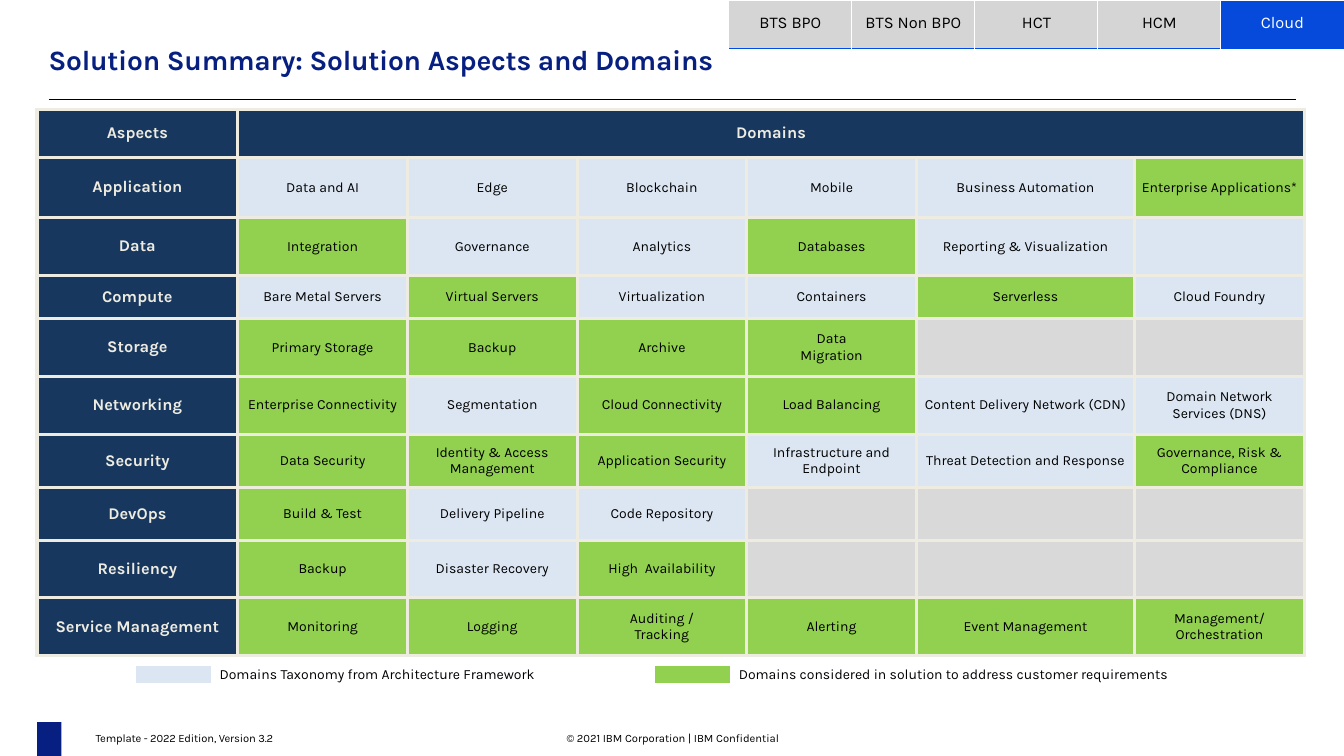
from lxml.etree import SubElement
from pptx import Presentation
from pptx.dml.color import RGBColor
from pptx.enum.shapes import MSO_CONNECTOR, MSO_SHAPE
from pptx.enum.text import MSO_ANCHOR as ANCHOR, MSO_AUTO_SIZE, PP_ALIGN as ALIGN
from pptx.oxml.ns import qn
from pptx.util import Cm, Pt

# Content
TITLE = "Solution Summary: Solution Aspects and Domains"
TABS = ["BTS BPO", "BTS Non BPO", "HCT", "HCM", "Cloud"]
ACTIVE_TAB = "Cloud"
# "+" marks a domain considered in the solution, None a cell that is not used
ASPECTS = [
    ("Application", 1.83, ["Data and AI", "Edge", "Blockchain", "Mobile",
                           "Business Automation", "+Enterprise Applications*"]),
    ("Data", 1.75, ["+Integration", "Governance", "Analytics", "+Databases",
                    "Reporting & Visualization", ""]),
    ("Compute", 1.3, ["Bare Metal Servers", "+Virtual Servers", "Virtualization",
                      "Containers", "+Serverless", "Cloud Foundry"]),
    ("Storage", 1.75, ["+Primary Storage", "+Backup", "+Archive",
                       "+Data\nMigration", None, None]),
    ("Networking", 1.75, ["+Enterprise Connectivity", "Segmentation",
                          "+Cloud Connectivity", "+Load Balancing",
                          "Content Delivery Network (CDN)",
                          "Domain Network Services (DNS)"]),
    ("Security", 1.6, ["+Data Security", "+Identity & Access Management",
                       "+Application Security", "Infrastructure and Endpoint",
                       "Threat Detection and Response",
                       "+Governance, Risk & Compliance"]),
    ("DevOps", 1.6, ["+Build & Test", "Delivery Pipeline", "Code Repository",
                     None, None, None]),
    ("Resiliency", 1.75, ["+Backup", "Disaster Recovery", "+High  Availability",
                          None, None, None]),
    ("Service Management", 1.75, ["+Monitoring", "+Logging", "+Auditing /\nTracking",
                                  "+Alerting", "+Event Management",
                                  "+Management/ Orchestration"]),
]
LEGEND = [  # left, text width, colour, text
    (4.01, 10.69, "taxonomy", "Domains Taxonomy from Architecture Framework"),
    (19.71, 14.43, "considered",
     "Domains considered in solution to address customer requirements"),
]
FOOTERS = [  # left, width, alignment, letter spacing, text
    (2.84, 7.11, ALIGN.LEFT, -0.1, "Template - 2022 Edition, Version 3.2"),
    (16.33, 7.98, ALIGN.CENTER, 0, "© 2021 IBM Corporation | IBM Confidential"),
]

COLORS = {
    "navy": "061F80", "header": "17375E", "cream": "EEECE1", "black": "000000",
    "white": "FFFFFF", "taxonomy": "DCE6F2", "considered": "92D050",
    "unused": "D9D9D9", "tab": "D5D5D5", "active": "054ADA", "tab_line": "004BE3",
}
FONT = "Karla"
SLIDE_W, SLIDE_H = 40.64, 22.86
ASPECT_W, DOMAIN_WS = 6.07, [5.13] * 4 + [6.6, 5.13]
HEADER_H, TAB_W, TAB_H = 1.45, 3.72, 1.47


def rgb(name):
    return RGBColor.from_string(COLORS[name])


def write(tf, text, size=12, color="black", bold=False, align=ALIGN.LEFT, spacing=0):
    for i, line in enumerate(text.split("\n")):
        p = tf.paragraphs[0] if i == 0 else tf.add_paragraph()
        p.alignment = align
        r = p.add_run()
        r.text = line
        r.font.name, r.font.size, r.font.bold = FONT, Pt(size), bold
        r.font.color.rgb = rgb(color)
        if spacing:
            r._r.get_or_add_rPr().set("spc", str(round(spacing * 100)))


def set_margins(box, left=0.0, top=0.0, right=0.0, bottom=0.0):
    box.margin_left, box.margin_top = Cm(left), Cm(top)
    box.margin_right, box.margin_bottom = Cm(right), Cm(bottom)


def add_grid(left, top, widths, heights):
    sp = s.shapes.add_table(len(heights), len(widths), Cm(left), Cm(top),
                            Cm(sum(widths)), Cm(sum(heights)))
    table = sp.table
    table.first_row = table.horz_banding = False
    for column, width in zip(table.columns, widths):
        column.width = Cm(width)
    for row, height in zip(table.rows, heights):
        row.height = Cm(height)
    return table


def style_cell(cell, fill, borders, width):
    """Borders map a side (L, R, T, B) to a colour; fill None leaves it clear."""
    tcPr = cell._tc.get_or_add_tcPr()
    for side, color in borders.items():
        ln = SubElement(tcPr, qn(f"a:ln{side}"), w=str(Pt(width)))
        solid = SubElement(ln, qn("a:solidFill"))
        SubElement(solid, qn("a:srgbClr"), val=COLORS[color])
    if fill:
        cell.fill.solid()
        cell.fill.fore_color.rgb = rgb(fill)
    else:
        cell.fill.background()
    cell.vertical_anchor = ANCHOR.MIDDLE
    set_margins(cell, 0.18, 0.1, 0.18, 0.1)


prs = Presentation()
prs.slide_width, prs.slide_height = Cm(SLIDE_W), Cm(SLIDE_H)
s = prs.slides.add_slide(prs.slide_layouts[5])

# Title and rule
title = s.shapes.title
title.left, title.top, title.width, title.height = Cm(1.42), Cm(1.22), Cm(20.6), Cm(1.07)
tf = title.text_frame
tf.auto_size, tf.vertical_anchor = MSO_AUTO_SIZE.NONE, ANCHOR.TOP
set_margins(tf, left=0.05, top=0.05)
write(tf, TITLE, size=24, color="navy", bold=True, spacing=-0.2)

rule = s.shapes.add_connector(MSO_CONNECTOR.STRAIGHT, Cm(1.48), Cm(3.02), Cm(39.18), Cm(3.02))
rule.line.color.rgb, rule.line.width = rgb("black"), Pt(1)
SubElement(rule._element.spPr, qn("a:effectLst"))

# Footer
bar = s.shapes.add_shape(MSO_SHAPE.RECTANGLE, Cm(1.12), Cm(21.84), Cm(0.74), Cm(1.02))
bar.shadow.inherit = False
bar.fill.solid()
bar.fill.fore_color.rgb = rgb("navy")
bar.line.fill.background()

for left, width, align, spacing, text in FOOTERS:
    tf = s.shapes.add_textbox(Cm(left), Cm(22.07), Cm(width), Cm(0.46)).text_frame
    tf.word_wrap = True
    set_margins(tf, left=0.05, top=0.05)
    write(tf, text, size=9.6, align=align, spacing=spacing)

# Legend
for left, text_w, color, text in LEGEND:
    legend = add_grid(left, 20.04, [2.45, text_w], [0.71])
    swatch, label = legend.cell(0, 0), legend.cell(0, 1)
    for cell, fill in ((swatch, color), (label, None)):
        style_cell(cell, fill, dict.fromkeys("LRTB", "white"), 6)
    SubElement(swatch.text_frame.paragraphs[0]._p, qn("a:endParaRPr"), sz="1200")
    write(label.text_frame, text)

# Aspects and domains
grid = add_grid(1.12, 3.3, [ASPECT_W] + DOMAIN_WS,
                [HEADER_H] + [height for _, height, _ in ASPECTS])
rows = [["Aspects", "Domains"] + [""] * 5]
rows += [[aspect] + domains for aspect, _, domains in ASPECTS]
for i, row in enumerate(rows):
    for j, text in enumerate(row):
        cell = grid.cell(i, j)
        heading = i == 0 or j == 0
        if heading:
            fill = "header"
        elif text is None:
            fill = "unused"
        else:
            fill = "considered" if text.startswith("+") else "taxonomy"
        style_cell(cell, fill, dict.fromkeys("LRTB", "cream"), 3)
        if text:
            write(cell.text_frame, text.removeprefix("+"), size=14 if heading else 12,
                  color="cream" if heading else "black", bold=heading, align=ALIGN.CENTER)
grid.cell(0, 1).merge(grid.cell(0, len(DOMAIN_WS)))

# Tabs
tabs = add_grid(SLIDE_W - TAB_W * len(TABS), 0, [TAB_W] * len(TABS), [TAB_H])
for j, text in enumerate(TABS):
    cell, active = tabs.cell(0, j), text == ACTIVE_TAB
    style_cell(cell, "active" if active else "tab",
               {"L": "white", "R": "white", "B": "tab_line"}, 1)
    cell.vertical_anchor = ANCHOR.TOP
    set_margins(cell, top=0.41)
    write(cell.text_frame, text, size=14, color="white" if active else "black",
          align=ALIGN.CENTER)

prs.save("out.pptx")
